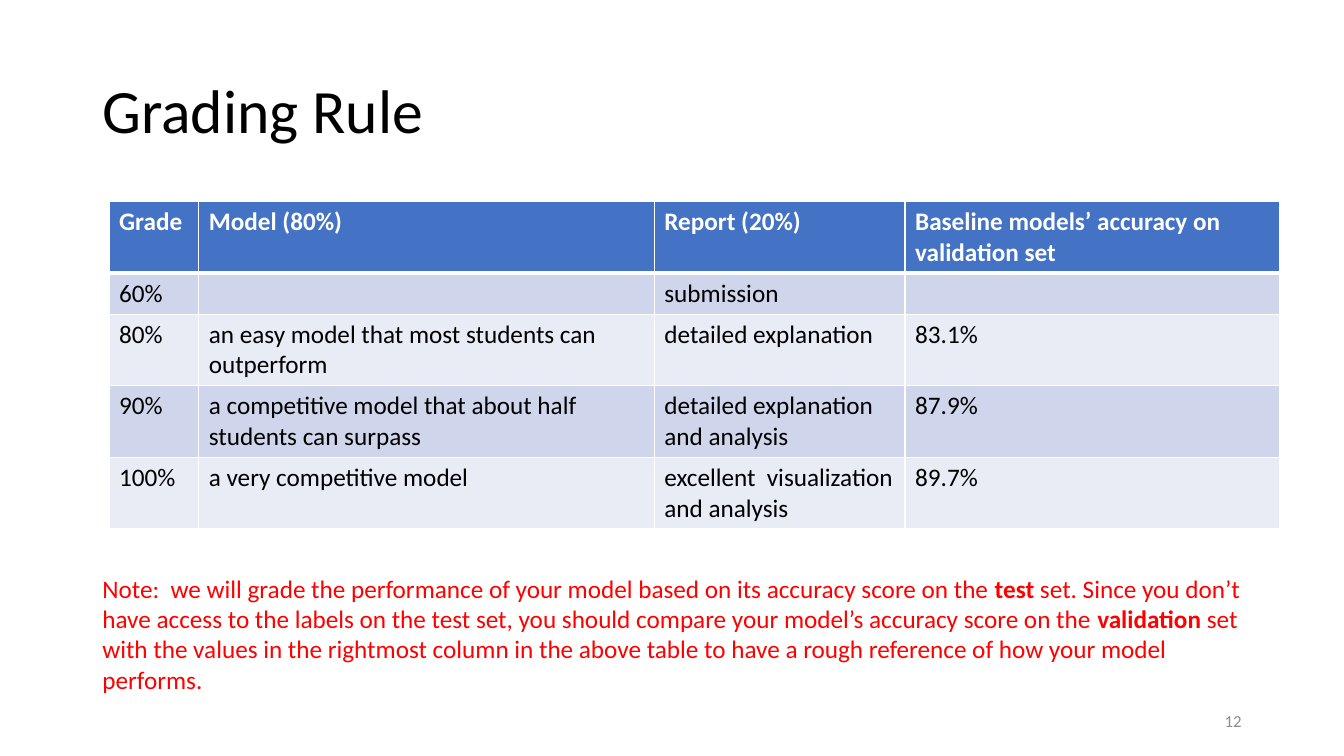
from lxml.etree import SubElement as Sub
from pptx import Presentation
from pptx.dml.color import RGBColor
from pptx.enum.text import MSO_ANCHOR as Anchor, PP_ALIGN as Align
from pptx.oxml.ns import qn
from pptx.util import Cm, Pt

WHITE = RGBColor(0xFF, 0xFF, 0xFF)
BLACK = RGBColor(0, 0, 0)
BLUE = RGBColor(0x44, 0x72, 0xC4)
DARK = RGBColor(0xCF, 0xD5, 0xEA)
LIGHT = RGBColor(0xE9, 0xEB, 0xF5)
RED = RGBColor(0xFF, 0, 0)
GREY = RGBColor(0x8C, 0x8C, 0x8C)
FONT = "Calibri"

COLS = (2.26, 11.48, 6.32, 9.45)
ROWS = (
    ("Grade", "Model (80%)", "Report (20%)",
     "Baseline models’ accuracy on validation set"),
    ("60%", "", "submission", ""),
    ("80%", "an easy model that most students can outperform",
     "detailed explanation", "83.1%"),
    ("90%", "a competitive model that about half students can surpass",
     "detailed explanation and analysis", "87.9%"),
    ("100%", "a very competitive model",
     "excellent  visualization and analysis", "89.7%"),
)
NOTE = (
    (("Note:  we will grade the performance of your model based on its "
      "accuracy score on the ", False), ("test", True),
     (" set. Since you don’t", False)),
    (("have access to the labels on the test set, you should compare your "
      "model’s accuracy score on the ", False), ("validation", True),
     (" set with the values in the rightmost column in the above table to "
      "have a rough reference of how your model performs.", False)),
)


def style(para, size, color, bold=False):
    """Set the font of a whole paragraph."""
    font = para.font
    font.name, font.size, font.bold = FONT, Pt(size), bold
    font.color.rgb = color


def add_box(slide, box, anchor=Anchor.TOP):
    """Add a wrapping text box and return its frame."""
    frame = slide.shapes.add_textbox(*map(Cm, box)).text_frame
    frame.word_wrap = True
    frame.vertical_anchor = anchor
    return frame


def add_line(slide, box, text, size, color, align=Align.LEFT, space=1.0):
    """Place one line of text, centred in the height of its box."""
    para = add_box(slide, box, Anchor.MIDDLE).paragraphs[0]
    para.text, para.alignment, para.line_spacing = text, align, space
    style(para, size, color)


def add_edges(cell, base):
    """Draw white borders round a cell, with a given base width."""
    props = cell._tc.get_or_add_tcPr()
    for side, width in (("L", 1), ("R", 1), ("T", 1), ("B", base)):
        line = Sub(props, qn(f"a:ln{side}"), w=str(Pt(width)))
        fill = Sub(line, qn("a:solidFill"))
        Sub(fill, qn("a:srgbClr"), val=str(WHITE))


def add_grades(slide, box):
    """Place the table of grades."""
    table = slide.shapes.add_table(
        len(ROWS), len(COLS), *map(Cm, box)).table
    for col, width in zip(table.columns, COLS):
        col.width = Cm(width)
    for i, row in enumerate(ROWS):
        table.rows[i].height = Cm(1.03)
        head = i == 0
        for j, text in enumerate(row):
            cell = table.cell(i, j)
            add_edges(cell, 3 if head else 1)
            cell.fill.solid()
            cell.fill.fore_color.rgb = BLUE if head else (LIGHT, DARK)[i % 2]
            para = cell.text_frame.paragraphs[0]
            if text:
                para.text = text
            style(para, 18, WHITE if head else BLACK, head)


def add_note(slide, box):
    """Place the red note with its bold words."""
    frame = add_box(slide, box)
    for i, parts in enumerate(NOTE):
        para = frame.add_paragraph() if i else frame.paragraphs[0]
        style(para, 18, RED)
        for text, bold in parts:
            run = para.add_run()
            run.text, run.font.bold = text, bold


def build():
    """Build the slide and save it."""
    deck = Presentation()
    deck.slide_width, deck.slide_height = Cm(33.87), Cm(19.05)
    slide = deck.slides.add_slide(deck.slide_layouts[6])
    add_grades(slide, (2.75, 5.08, sum(COLS), 5.15))
    add_line(slide, (2.33, 1.01, 29.21, 3.68), "Grading Rule", 44, BLACK,
             space=0.9)
    add_line(slide, (23.92, 17.66, 7.62, 1.01), "12", 12, GREY, Align.RIGHT)
    add_note(slide, (2.33, 14.32, 29.77, 3.33))
    deck.save("out.pptx")


build()
